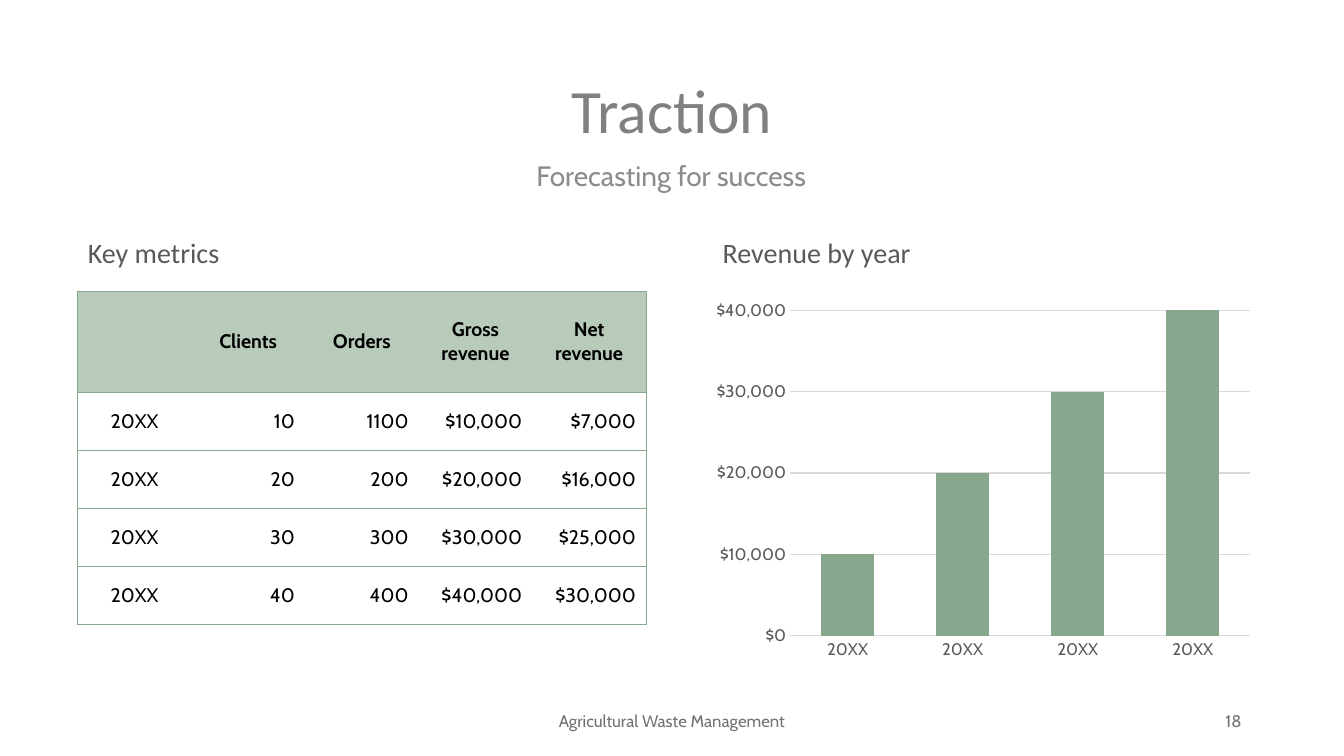
from dataclasses import dataclass

from lxml import etree
from pptx import Presentation
from pptx.chart.data import CategoryChartData
from pptx.dml.color import RGBColor
from pptx.enum import chart as charts, text
from pptx.oxml import parse_xml
from pptx.oxml.ns import nsdecls, qn
from pptx.util import Pt

LEFT, CENTER, RIGHT = text.PP_ALIGN.LEFT, text.PP_ALIGN.CENTER, text.PP_ALIGN.RIGHT
TOP, MIDDLE = text.MSO_ANCHOR.TOP, text.MSO_ANCHOR.MIDDLE


@dataclass(frozen=True)
class Theme:
    heading_font: str = "Calibri"
    body_font: str = "Cabin"
    title: str = "808080"
    subtitle: str = "8C8C8C"
    heading: str = "595959"
    footer: str = "767171"
    ink: str = "000000"
    green: str = "88A88E"
    pale_green: str = "B8CBBB"
    grid: str = "D9D9D9"
    title_size: int = 44
    heading_size: int = 20
    table_size: int = 14
    small_size: int = 12


class SlideBuilder:
    def __init__(self, slide, theme):
        self.slide = slide
        self.theme = theme

    def style_font(self, font, family, size, color, bold=False):
        font.name = family
        font.size = Pt(size)
        font.bold = bold
        font.color.rgb = RGBColor.from_string(color)

    def set_line(self, frame, words, align, anchor, *font_style):
        """Fill a text frame with one styled paragraph and return it."""
        frame.text = words
        frame.word_wrap = True
        frame.vertical_anchor = anchor
        paragraph = frame.paragraphs[0]
        paragraph.alignment = align
        self.style_font(paragraph.runs[0].font, *font_style)
        return paragraph

    def placeholder(self, idx, box, words, align, anchor, *font_style):
        """Move a layout placeholder and fill it with one unbulleted line."""
        holder = self.slide.placeholders[idx]
        holder.left, holder.top, holder.width, holder.height = map(Pt, box)
        holder.text_frame.auto_size = text.MSO_AUTO_SIZE.NONE
        line = self.set_line(holder.text_frame, words, align, anchor, *font_style)
        line.line_spacing = 0.9
        line.space_before = Pt(0)
        properties = line._p.get_or_add_pPr()
        properties.set("marL", "0")
        properties.set("indent", "0")
        etree.SubElement(properties, qn("a:buNone"))

    def footer(self, box, words, align):
        label = self.slide.shapes.add_textbox(*map(Pt, box))
        self.set_line(label.text_frame, words, align, MIDDLE, self.theme.body_font,
                      self.theme.small_size, self.theme.footer)

    def border(self, cell, ruled_sides):
        """Rule the given sides of a cell and clear the others."""
        for position, side in enumerate("LRTB"):
            if side in ruled_sides:
                paint = f'<a:solidFill><a:srgbClr val="{self.theme.green}"/></a:solidFill>'
            else:
                paint = "<a:noFill/>"
            line = parse_xml(f'<a:ln{side} {nsdecls("a")} w="{Pt(0.5)}">{paint}</a:ln{side}>')
            cell._tc.get_or_add_tcPr().insert(position, line)

    def table(self, box, rows, header_height, row_height):
        last = len(rows[0]) - 1
        grid = self.slide.shapes.add_table(len(rows), last + 1, *map(Pt, box)).table
        grid.horz_banding = False
        for r, values in enumerate(rows):
            is_header = r == 0
            grid.rows[r].height = Pt(header_height if is_header else row_height)
            for c, value in enumerate(values):
                cell = grid.cell(r, c)
                cell.vertical_anchor = MIDDLE
                if is_header:
                    cell.fill.solid()
                    cell.fill.fore_color.rgb = RGBColor.from_string(self.theme.pale_green)
                else:
                    cell.fill.background()
                if value:
                    align = CENTER if is_header or c == 0 else RIGHT
                    self.set_line(cell.text_frame, value, align, MIDDLE, self.theme.body_font,
                                  self.theme.table_size, self.theme.ink, is_header)
                self.border(cell, "TB" + "L" * (c == 0) + "R" * (c == last))

    def column_chart(self, box, categories, series_name, values, plot_area):
        theme = self.theme
        data = CategoryChartData()
        data.categories = categories
        data.add_series(series_name, values)
        chart = self.slide.shapes.add_chart(
            charts.XL_CHART_TYPE.COLUMN_CLUSTERED, *map(Pt, box), data).chart
        chart.has_title = False
        chart.has_legend = False
        self.style_font(chart.font, theme.body_font, theme.small_size, theme.heading)

        columns = chart.plots[0]
        columns.gap_width = 118
        columns.overlap = -3
        columns.vary_by_categories = False
        columns.series[0].format.fill.solid()
        columns.series[0].format.fill.fore_color.rgb = RGBColor.from_string(theme.green)

        years, revenue = chart.category_axis, chart.value_axis
        for axis in (years, revenue):
            axis.major_tick_mark = axis.minor_tick_mark = charts.XL_TICK_MARK.NONE
            self.style_font(axis.tick_labels.font, theme.body_font, theme.small_size, theme.heading)
        revenue.minimum_scale, revenue.maximum_scale = 0, 40000
        revenue.major_unit = 10000
        revenue.has_major_gridlines = True
        revenue.tick_labels.number_format = "[$$-409]#,##0"
        revenue.tick_labels.number_format_is_linked = False
        revenue.format.line.fill.background()
        for line in (years.format.line, revenue.major_gridlines.format.line):
            line.color.rgb = RGBColor.from_string(theme.grid)
            line.width = Pt(0.75)
        self.place_plot(chart, plot_area)

    def place_plot(self, chart, plot_area):
        """Fix the inner plot area as fractions of the chart."""
        plot = chart._chartSpace.chart.plotArea
        for old in plot.findall(qn("c:layout")):
            plot.remove(old)
        layout = etree.Element(qn("c:layout"))
        manual = etree.SubElement(layout, qn("c:manualLayout"))
        settings = [("layoutTarget", "inner"), ("xMode", "edge"), ("yMode", "edge")]
        settings += zip("xywh", map(str, plot_area))
        for name, value in settings:
            etree.SubElement(manual, qn(f"c:{name}")).set("val", value)
        plot.insert(0, layout)

    def remove_empty_placeholders(self):
        for holder in list(self.slide.placeholders):
            if not holder.text_frame.text:
                holder._element.getparent().remove(holder._element)


def main():
    deck = Presentation()
    deck.slide_width, deck.slide_height = Pt(960), Pt(540)
    comparison_layout = deck.slide_layouts[4]
    theme = Theme()
    page = SlideBuilder(deck.slides.add_slide(comparison_layout), theme)

    table_left, chart_left, column_width = 55.5, 509, 396
    heading_top, content_top = 163.5, 208

    page.placeholder(0, (66, 29, 828, 104), "Traction", CENTER, MIDDLE,
                     theme.heading_font, theme.title_size, theme.title)
    page.placeholder(2, (65.5, 112.5, 828, 36), "Forecasting for success", CENTER, TOP,
                     theme.body_font, theme.heading_size, theme.subtitle)
    for idx, left, heading in ((1, table_left, "Key metrics"), (3, chart_left, "Revenue by year")):
        page.placeholder(idx, (left, heading_top, column_width, 36), heading, LEFT, MIDDLE,
                         theme.heading_font, theme.heading_size, theme.heading)
    page.remove_empty_placeholders()

    metrics = [
        ("", "Clients", "Orders", "Gross revenue", "Net revenue"),
        ("20XX", "10", "1100", "$10,000", "$7,000"),
        ("20XX", "20", "200", "$20,000", "$16,000"),
        ("20XX", "30", "300", "$30,000", "$25,000"),
        ("20XX", "40", "400", "$40,000", "$30,000"),
    ]
    page.table((table_left, content_top, 406, 238), metrics, 72, 41.5)
    page.column_chart((chart_left, content_top, column_width, 273.5), ["20XX"] * 4,
                      "Series 1", (10000, 20000, 30000, 40000), (0.14, 0.05, 0.83, 0.85))

    page.footer((318, 500.5, 324, 29), "Agricultural Waste Management", CENTER)
    page.footer((678, 500.5, 216, 29), "18", RIGHT)

    deck.save("out.pptx")


if __name__ == "__main__":
    main()
